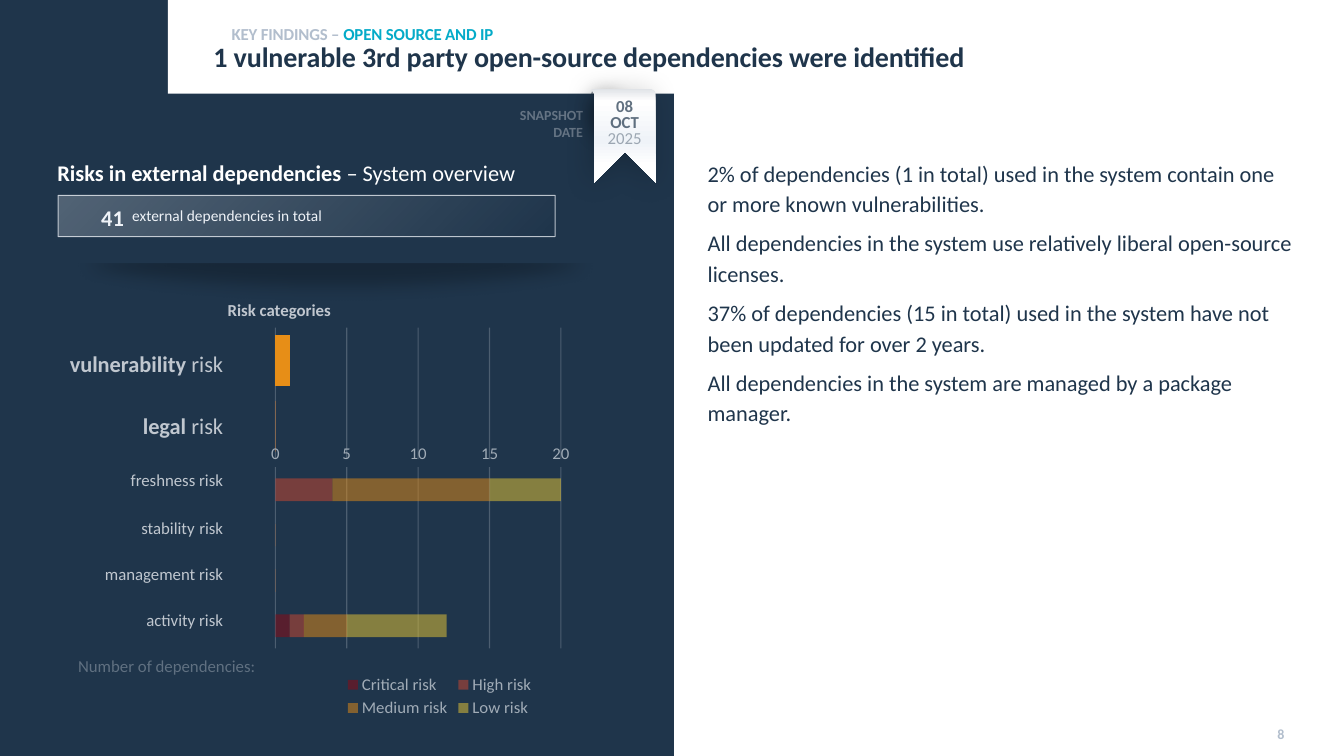
from lxml import etree
from pptx import Presentation
from pptx.chart.data import CategoryChartData
from pptx.dml.color import RGBColor
from pptx.enum.chart import XL_AXIS_CROSSES, XL_CHART_TYPE, XL_LEGEND_POSITION, XL_TICK_MARK
from pptx.enum.shapes import MSO_SHAPE as SHAPE
from pptx.enum.text import MSO_ANCHOR as ANCHOR, PP_ALIGN as ALIGN
from pptx.oxml import parse_xml
from pptx.oxml.ns import nsdecls, qn
from pptx.util import Pt

# Content
FONT = "Calibri"
NAVY, WHITE, PALE, SILVER = "1F354B", "FFFFFF", "EFF3F8", "C0C7CF"
GREY, SLATE, LILAC, TEAL = "A1ACB7", "657484", "B2BECD", "04ABC8"

FINDINGS = [
    "2% of dependencies (1 in total) used in the system contain one or more known vulnerabilities.",
    "All dependencies in the system use relatively liberal open-source licenses.",
    "37% of dependencies (15 in total) used in the system have not been updated for over 2 years.",
    "All dependencies in the system are managed by a package manager.",
]
# Risk labels: top, height, line spacing, runs of (text, size, bold)
RISK_LABELS = [
    (231, 37.5, 1.8, [("vulnerability ", 16, True), ("risk", 16, False)]),
    (281, 33, 1.5, [("legal ", 16, True), ("risk", 16, False)]),
    (332, 21.5, 1, [("freshness risk", 12, False)]),
    (364.5, 24.5, 1, [("stability", 12, False), (" ", 14, False), ("risk", 12, False)]),
    (399.5, 21.5, 1, [("management risk", 12, False)]),
    (432, 21.5, 1, [("activity risk", 12, False)]),
]
SERIES_COLORS = ["910813", "CF4731", "E78E17", "EBC937"]
MAIN_RISKS = [("Series 1", (0, 0)), ("Series 2", (0, 0)),
              ("Series 3", (100, 0)), ("Series 4", (0, 0))]
OTHER_RISKS = [("Critical risk", (0, 0, 0, 1)), ("High risk", (4, 0, 0, 1)),
               ("Medium risk", (11, 0, 0, 3)), ("Low risk", (5, 0, 0, 7))]
RIBBON = [(425, 63.5), (464.5, 63.5), (467, 64.5), (468, 66.5), (468, 108.5),
          (468.5, 130.5), (446.5, 108.5), (424.5, 130.5), (424.5, 67), (422.5, 64)]
RIBBON_FOLD = [(425.5, 64), (464.5, 64), (467, 65), (468, 67.5), (422, 67.5), (423, 65)]

prs = Presentation()
prs.slide_width, prs.slide_height = Pt(960), Pt(540)
s = prs.slides.add_slide(prs.slide_layouts[6])


# Helpers
def paint(fill, color, alpha=100):
    fill.solid()
    fill.fore_color.rgb = RGBColor.from_string(color)
    if alpha < 100:
        clr = fill._xPr.find(qn("a:solidFill"))[0]
        etree.SubElement(clr, qn("a:alpha")).set("val", str(alpha * 1000))


def gradient(shape, stops, angle):
    shape.fill.solid()
    solid = shape._element.spPr.find(qn("a:solidFill"))
    gs = "".join(f'<a:gs pos="{pos * 1000}"><a:srgbClr val="{color}">'
                 f'<a:alpha val="{alpha * 1000}"/></a:srgbClr></a:gs>'
                 for pos, color, alpha in stops)
    solid.getparent().replace(solid, parse_xml(
        f'<a:gradFill {nsdecls("a")} rotWithShape="1"><a:gsLst>{gs}</a:gsLst>'
        f'<a:lin ang="{angle * 60000}" scaled="0"/></a:gradFill>'))


def effect(shape, xml):
    shape._element.spPr.find(qn("a:effectLst")).append(parse_xml(xml))


def drop_shadow(shape, alpha, blur):
    effect(shape, f'<a:outerShdw {nsdecls("a")} blurRad="{Pt(blur)}" dist="{Pt(3)}" '
                  f'dir="8100000" rotWithShape="0"><a:srgbClr val="000000">'
                  f'<a:alpha val="{alpha * 1000}"/></a:srgbClr></a:outerShdw>')


def finish(sp, color=None, alpha=100):
    sp.shadow.inherit = False
    sp.line.fill.background()
    if color:
        paint(sp.fill, color, alpha)
    return sp


def block(box, color, alpha=100, kind=SHAPE.RECTANGLE):
    return finish(s.shapes.add_shape(kind, *map(Pt, box)), color, alpha)


def outline(points, color=None, alpha=100):
    fb = s.shapes.build_freeform(Pt(points[0][0]), Pt(points[0][1]))
    fb.add_line_segments([(Pt(x), Pt(y)) for x, y in points[1:]], close=True)
    return finish(fb.convert_to_shape(), color, alpha)


def text(box, paras, align=ALIGN.LEFT, spacing=1, after=0, ins=(7.2, 3.6, 7.2, 3.6),
         wrap=True, anchor=ANCHOR.TOP, tracking=0):
    """Each paragraph is a list of runs: (text, size, color, bold[, alpha])."""
    tf = s.shapes.add_textbox(*map(Pt, box)).text_frame
    tf.word_wrap, tf.vertical_anchor = wrap, anchor
    tf.margin_left, tf.margin_top, tf.margin_right, tf.margin_bottom = map(Pt, ins)
    for i, runs in enumerate(paras):
        p = tf.add_paragraph() if i else tf.paragraphs[0]
        p.alignment, p.line_spacing, p.space_after = align, spacing, Pt(after)
        for words, size, color, bold, *alpha in runs:
            r = p.add_run()
            r.text = words
            r.font.name, r.font.size, r.font.bold = FONT, Pt(size), bold
            paint(r.font.fill, color, *alpha)
            if tracking:
                r._r.get_or_add_rPr().set("spc", str(tracking))


def risk_chart(box, series, alpha, top, step, gap, layout, labelled):
    data = CategoryChartData()
    data.categories = [str(i + 1) for i in range(len(series[0][1]))]
    for name, values in series:
        data.add_series(name, values)
    chart = s.shapes.add_chart(XL_CHART_TYPE.BAR_STACKED, *map(Pt, box), data).chart
    chart.font.name, chart.font.size = FONT, Pt(10)
    paint(chart.font.fill, SLATE)
    chart.has_title = False
    plot = chart.plots[0]
    plot.gap_width, plot.overlap, plot.vary_by_categories = gap, 100, False
    for ser, color in zip(plot.series, SERIES_COLORS):
        paint(ser.format.fill, color, alpha)
    cat, val = chart.category_axis, chart.value_axis
    cat.visible, cat.reverse_order, cat.crosses = False, True, XL_AXIS_CROSSES.MAXIMUM
    val.minimum_scale, val.maximum_scale, val.major_unit = 0, top, step
    val.has_major_gridlines = True
    grid = val.major_gridlines.format.line
    grid.width = Pt(0.75)
    paint(grid.fill, GREY, 35)
    val.visible, chart.has_legend = labelled, labelled
    if labelled:
        val.major_tick_mark = XL_TICK_MARK.NONE
        val.format.line.fill.background()
        chart.legend.position = XL_LEGEND_POSITION.BOTTOM
        chart.legend.include_in_layout = False
        for font in (val.tick_labels.font, chart.legend.font):
            font.name, font.size = FONT, Pt(12)
            paint(font.fill, GREY)
    # Fixed inner plot area
    area = chart._chartSpace.chart.plotArea
    for old in area.findall(qn("c:layout")):
        area.remove(old)
    places = "".join(f'<c:{k} val="{v}"/>' for k, v in zip("xywh", layout))
    area.insert(0, parse_xml(
        f'<c:layout {nsdecls("c")}><c:manualLayout><c:layoutTarget val="inner"/>'
        f'<c:xMode val="edge"/><c:yMode val="edge"/>{places}</c:manualLayout></c:layout>'))


# Background panels
block((0, 0, 960, 540), NAVY)
block((120, 0, 840, 67), WHITE)
glow = block((26.5, 162, 425.5, 54), "000000", 25, SHAPE.OVAL)
effect(glow, f'<a:softEdge {nsdecls("a")} rad="{Pt(12.5)}"/>')
block((34, 111.5, 430.5, 76.5), NAVY)
block((481.5, 57.5, 478.5, 482.5), WHITE)

# Header
text((165.5, 13.5, 759, 17.5), [[("KEY FINDINGS – ", 12, LILAC, True),
     ("OPEN SOURCE AND IP", 12, TEAL, True)]],
     spacing=1.14, ins=(0, 1.4, 7.2, 0), tracking=-10)
text((152.5, 31, 772.5, 22.5),
     [[("1 vulnerable 3rd party open-source dependencies were identified", 20, NAVY, True)]],
     spacing=0.9, ins=(0, 0, 0, 0), tracking=-10)

# System overview
text((34, 107.5, 352, 28), [[("Risks in external dependencies", 16, WHITE, True),
     (" – System overview", 16, WHITE, False)]], spacing=1.14)
total = block((41.5, 139.5, 355, 29.5), PALE)
gradient(total, [(0, PALE, 25), (100, PALE, 0)], 45)
total.line.width = Pt(0.75)
paint(total.line.fill, PALE, 75)
text((44.5, 143.5, 44, 21), [[("41", 16, PALE, True)]], ALIGN.RIGHT, 1.14,
     ins=(0, 3.6, 0, 3.6), anchor=ANCHOR.MIDDLE)
text((91.5, 147, 153.5, 13.5), [[("external dependencies in total", 11, PALE, False)]],
     ins=(2.9, 0, 2.9, 0))

# Risk categories
text((155.5, 209, 90.5, 23), [[("Risk categories", 12, "C1C7CF", True)]],
     spacing=1.13, wrap=False)
for top, height, spacing, runs in RISK_LABELS:
    text((14.5, top, 152, height), [[(t, size, SILVER, bold) for t, size, bold in runs]],
         ALIGN.RIGHT, spacing)
text((20, 463, 169.5, 23), [[("Number of dependencies:", 12, GREY, False, 50)]],
     ALIGN.RIGHT, 1.13)
risk_chart((186.5, 222.5, 255, 116), MAIN_RISKS, 100, 2200, 500, 30,
           (0.04, 0.1, 0.88, 0.81), False)
risk_chart((186.5, 317, 255, 198.5), OTHER_RISKS, 50, 22, 5, 100,
           (0.04, 0.06, 0.88, 0.67), True)

# Findings
text((505.5, 108, 420, 389), [[(t, 16, NAVY, False)] for t in FINDINGS],
     spacing=1.14, after=6, ins=(0, 3.6, 0, 3.6))

# Snapshot date ribbon
text((359.5, 72.5, 64, 32.5), [[("SNAPSHOT DATE", 10, SLATE, True)]], ALIGN.RIGHT)
drop_shadow(block((425.5, 65.5, 18.5, 29), NAVY, kind=SHAPE.OVAL), 46, 15)
outline(RIBBON_FOLD, "172838", 45)
ribbon = outline(RIBBON)
gradient(ribbon, [(0, "E0E3E7", 100), (13, WHITE, 100), (55, PALE, 100), (81, WHITE, 100)], 90)
drop_shadow(ribbon, 20, 20)
text((434, 67.5, 24.5, 42.5), [[("08", 12, NAVY, True, 70)], [("OCT", 12, NAVY, True, 70)],
     [("2025", 12, SLATE, False, 60)]], ALIGN.CENTER, 0.8, ins=(0, 3.6, 0, 3.6), wrap=False)

# Slide number
text((905, 515.5, 19.5, 18.5), [[("8", 10, LILAC, True)]], ALIGN.RIGHT,
     ins=(0, 2.9, 7.2, 3.6), wrap=False, anchor=ANCHOR.MIDDLE, tracking=10)

prs.save("out.pptx")
